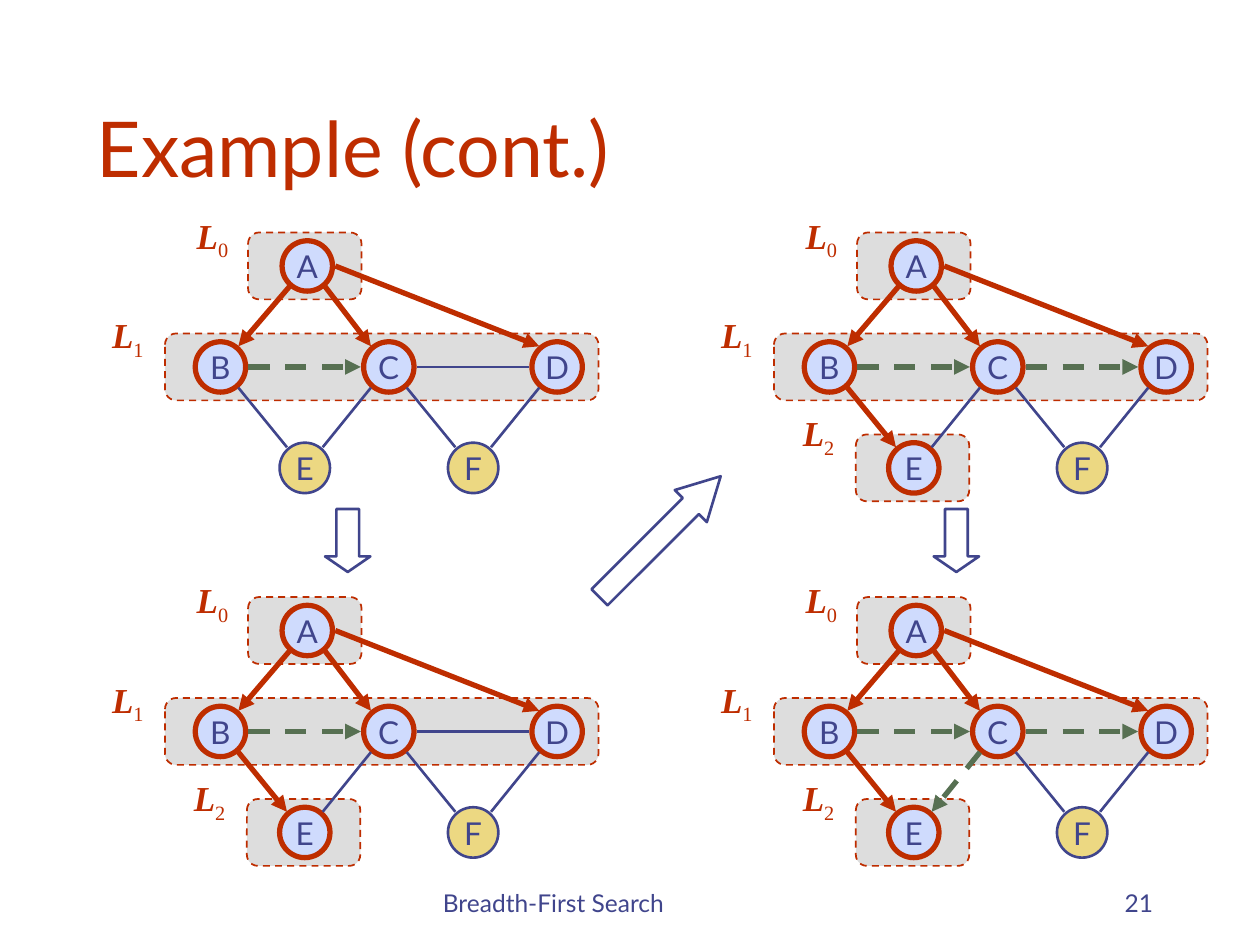
from dataclasses import dataclass

import lxml.etree
import pptx
import pptx.dml.color
import pptx.enum.dml
import pptx.enum.shapes
import pptx.enum.text
import pptx.oxml.ns
import pptx.util

Pt = pptx.util.Pt
Shape = pptx.enum.shapes.MSO_SHAPE
Align = pptx.enum.text.PP_ALIGN
Anchor = pptx.enum.text.MSO_ANCHOR
DASH = pptx.enum.dml.MSO_LINE.DASH

RED, BLUE, GREEN = "BE2D00", "40458C", "577052"
GRAY, PALE_BLUE, YELLOW = "DDDDDD", "CFDBFD", "ECD882"
NODE_SIZE = 28.8
BAND_HEIGHT = 38.2
ROWS = (152, 209.7, 267.4)
COLUMN_GAP, ROW_GAP = 348, 208.3  # distance between panels

# Node centres inside a panel
NODES = {
    "A": (175.6, ROWS[0]), "B": (126, ROWS[1]), "C": (222.2, ROWS[1]),
    "D": (318.4, ROWS[1]), "E": (174.2, ROWS[2]), "F": (270.4, ROWS[2]),
}


@dataclass(frozen=True)
class Level:
    index: int
    left: float
    width: float
    label_left: float
    label_top: float


@dataclass(frozen=True)
class EdgeStyle:
    color: str
    width: float
    dashed: bool = False
    arrow: bool = False


@dataclass(frozen=True)
class Panel:
    column: int
    row: int
    discovered: tuple
    crossing: tuple


@dataclass(frozen=True)
class BlockArrow:
    left: float
    top: float
    length: float
    rotation: float
    head: float


LEVELS = (
    Level(0, 141.8, 64.8, 103, 118.8),
    Level(1, 94.3, 247.7, 54.7, 175.7),
    Level(2, 141.1, 64.8, 101.4, 231.8),
)
UNEXPLORED = EdgeStyle(BLUE, 1.5)
DISCOVERY = EdgeStyle(RED, 3, arrow=True)
CROSS = EdgeStyle(GREEN, 3, dashed=True, arrow=True)

# Each edge runs from the first node to the second
EDGES = ("AB", "BE", "CE", "AC", "BC", "DF", "AD", "CD", "CF")
TREE = ("AB", "AC", "AD")
PANELS = (
    Panel(0, 0, TREE, ("BC",)),
    Panel(0, 1, TREE + ("BE",), ("BC",)),
    Panel(1, 0, TREE + ("BE",), ("BC", "CD")),
    Panel(1, 1, TREE + ("BE",), ("BC", "CD", "CE")),
)
BLOCK_ARROWS = (
    BlockArrow(180.7, 295.9, 36, 90, 0.343),
    BlockArrow(528.5, 295.9, 36, 90, 0.343),
    BlockArrow(328.3, 293.8, 97.9, 315, 0.932),
)


def rgb(color: str):
    return pptx.dml.color.RGBColor.from_string(color)


def set_font(font, name: str, size: float, color: str) -> None:
    font.name, font.size = name, Pt(size)
    font.color.rgb = rgb(color)


def add_outlined(shapes, kind, left, top, width, height, fill, line, weight):
    shape = shapes.add_shape(kind, Pt(left), Pt(top), Pt(width), Pt(height))
    shape.shadow.inherit = False
    if fill:
        shape.fill.solid()
        shape.fill.fore_color.rgb = rgb(fill)
    else:
        shape.fill.background()
    shape.line.color.rgb = rgb(line)
    shape.line.width = Pt(weight)
    return shape


def add_node(shapes, name: str, x: float, y: float, visited: bool) -> None:
    fill, line, weight = (PALE_BLUE, RED, 3) if visited else (YELLOW, BLUE, 1.5)
    node = add_outlined(shapes, Shape.OVAL, x - NODE_SIZE / 2, y - NODE_SIZE / 2,
                        NODE_SIZE, NODE_SIZE, fill, line, weight)
    frame = node.text_frame
    frame.word_wrap = False
    frame.vertical_anchor = Anchor.MIDDLE
    para = frame.paragraphs[0]
    para.text, para.alignment = name, Align.CENTER
    set_font(para.font, "Lato", 18, BLUE)


def add_level(shapes, level: Level, dx: float, dy: float) -> None:
    band = add_outlined(shapes, Shape.ROUNDED_RECTANGLE, level.left + dx,
                        ROWS[level.index] - BAND_HEIGHT / 2 + dy,
                        level.width, BAND_HEIGHT, GRAY, RED, 1)
    band.line.dash_style = DASH
    box = shapes.add_textbox(Pt(level.label_left + dx), Pt(level.label_top + dy),
                             Pt(36.7), Pt(31))
    box.text_frame.word_wrap = True
    para = box.text_frame.paragraphs[0]
    para.alignment = Align.CENTER
    set_font(para.font, "Times New Roman", 20, RED)
    letter, subscript = para.add_run(), para.add_run()
    letter.text, subscript.text = "L", str(level.index)
    letter.font.bold = letter.font.italic = True
    subscript._r.get_or_add_rPr().set("baseline", "-25000")


def add_edge(shapes, edge: str, style: EdgeStyle, dx: float, dy: float) -> None:
    (x1, y1), (x2, y2) = NODES[edge[0]], NODES[edge[1]]
    side = 1 if x2 > x1 else -1
    level_start = y1 == y2 or edge == "AD"  # leaves from the side of its node
    start = (16, 0) if level_start else (10.2, 11.8)
    end = (16, 0) if y1 == y2 else (10.2, 11.8)
    line = shapes.add_connector(
        pptx.enum.shapes.MSO_CONNECTOR.STRAIGHT,
        Pt(x1 + side * start[0] + dx), Pt(y1 + start[1] + dy),
        Pt(x2 - side * end[0] + dx), Pt(y2 - end[1] + dy))
    line.line.color.rgb = rgb(style.color)
    line.line.width = Pt(style.width)
    if style.dashed:
        line.line.dash_style = DASH
    if style.arrow:
        lxml.etree.SubElement(line.line._get_or_add_ln(),
                              pptx.oxml.ns.qn("a:tailEnd"), type="triangle")
    lxml.etree.SubElement(line._element.spPr, pptx.oxml.ns.qn("a:effectLst"))


def add_panel(page, panel: Panel) -> None:
    shapes = page.shapes.add_group_shape().shapes
    dx, dy = panel.column * COLUMN_GAP, panel.row * ROW_GAP
    visited = set("A").union(edge[1] for edge in panel.discovered)
    for level in LEVELS if "E" in visited else LEVELS[:2]:
        add_level(shapes, level, dx, dy)
    for name, (x, y) in NODES.items():
        add_node(shapes, name, x + dx, y + dy, name in visited)
    for edge in EDGES:
        style = (DISCOVERY if edge in panel.discovered
                 else CROSS if edge in panel.crossing else UNEXPLORED)
        add_edge(shapes, edge, style, dx, dy)


def add_block_arrow(page, arrow: BlockArrow) -> None:
    shape = add_outlined(page.shapes, Shape.RIGHT_ARROW, arrow.left, arrow.top,
                         arrow.length, 25.9, None, BLUE, 1.5)
    shape.adjustments[1] = arrow.head
    shape.rotation = arrow.rotation


def add_footer(page, text: str, left: float, width: float, alignment) -> None:
    box = page.shapes.add_textbox(Pt(left), Pt(492), Pt(width), Pt(36))
    box.text_frame.word_wrap = True
    box.text_frame.vertical_anchor = Anchor.BOTTOM
    para = box.text_frame.paragraphs[0]
    para.text, para.alignment = text, alignment
    set_font(para.font, "Lato", 14, BLUE)


def main() -> None:
    deck = pptx.Presentation()
    deck.slide_width, deck.slide_height = Pt(720), Pt(540)
    page = deck.slides.add_slide(deck.slide_layouts[5])

    # Title
    title = page.shapes.title
    title.left, title.top, title.width, title.height = Pt(48), Pt(24), Pt(612), Pt(90)
    frame = title.text_frame
    frame.auto_size = pptx.enum.text.MSO_AUTO_SIZE.NONE
    frame.vertical_anchor = Anchor.BOTTOM
    para = frame.paragraphs[0]
    para.text, para.alignment = "Example (cont.)", Align.LEFT
    set_font(para.font, "Lato", 44, RED)

    # Footer
    add_footer(page, "Breadth-First Search", 246, 228, Align.LEFT)
    add_footer(page, "21", 516, 150, Align.RIGHT)

    # Search steps and the arrows between them
    for arrow in BLOCK_ARROWS:
        add_block_arrow(page, arrow)
    for panel in PANELS:
        add_panel(page, panel)

    deck.save("out.pptx")


if __name__ == "__main__":
    main()
